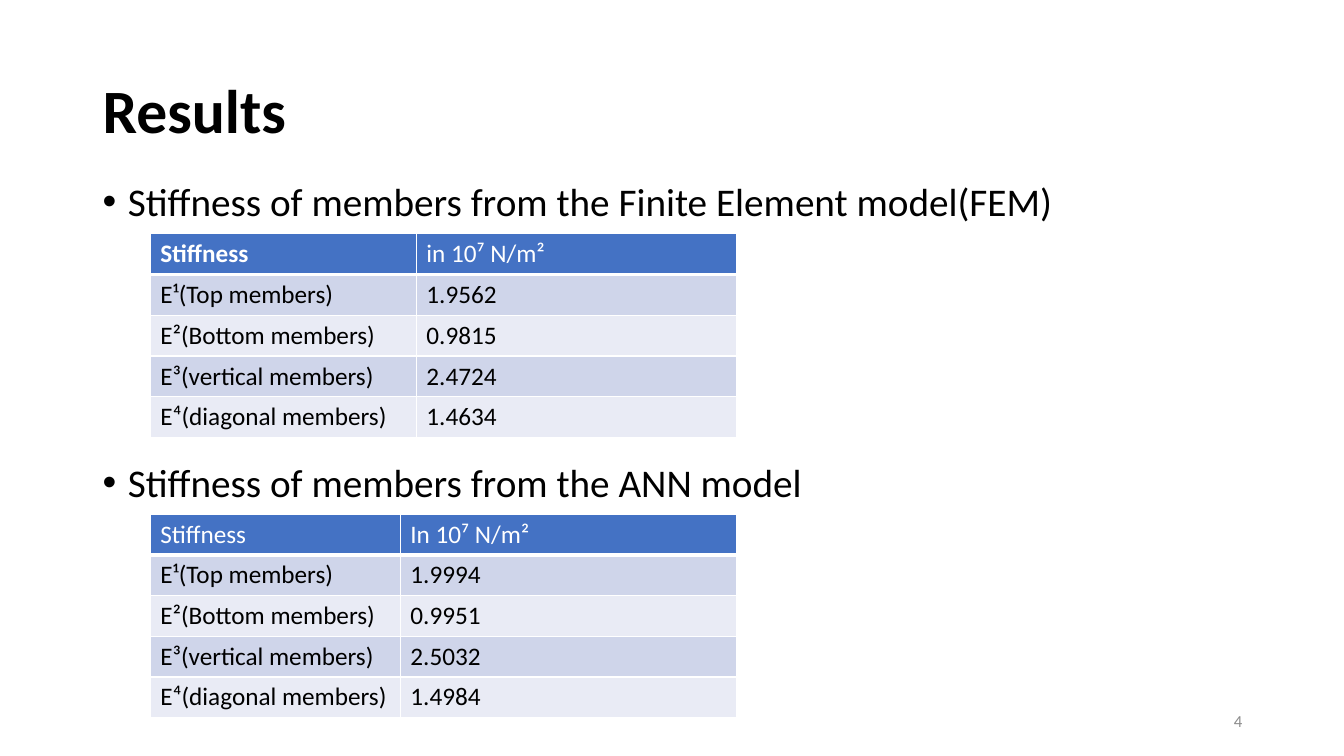
from lxml.etree import SubElement
from pptx import Presentation
from pptx.dml.color import RGBColor
from pptx.enum.text import MSO_ANCHOR, PP_ALIGN
from pptx.oxml.ns import qn
from pptx.util import Inches, Pt

COLORS = {
    "text": "000000",
    "white": "FFFFFF",
    "header": "4472C4",
    "band_dark": "CFD5EA",
    "band_light": "E9EBF5",
    "number": "8C8C8C",
}
FONT = "Calibri"
MEMBERS = ["E¹(Top members)", "E²(Bottom members)",
           "E³(vertical members)", "E⁴(diagonal members)"]


def rgb(name):
    return RGBColor.from_string(COLORS[name])


def add_run(p, text, size, color="text", bold=False):
    r = p.add_run()
    r.text = text
    r.font.name = FONT
    r.font.size = Pt(size)
    r.font.bold = bold
    r.font.color.rgb = rgb(color)


def add_text(slide, box, text, size, color="text", bold=False,
             anchor=MSO_ANCHOR.TOP):
    sp = slide.shapes.add_textbox(*map(Inches, box))
    tf = sp.text_frame
    tf.word_wrap = True
    tf.vertical_anchor = anchor
    p = tf.paragraphs[0]
    add_run(p, text, size, color, bold)
    return p


def add_title(slide, box, text):
    p = add_text(slide, box, text, 44, bold=True, anchor=MSO_ANCHOR.MIDDLE)
    p.line_spacing = 0.9


def add_bullet(slide, box, text):
    p = add_text(slide, box, text, 28)
    p.line_spacing = 0.9
    pPr = p._p.get_or_add_pPr()
    pPr.set("marL", str(Inches(0.25)))
    pPr.set("indent", str(Inches(-0.25)))
    SubElement(pPr, qn("a:buFont"), typeface="Arial")
    SubElement(pPr, qn("a:buChar"), char="•")


def add_page_number(slide, box, text):
    p = add_text(slide, box, text, 12, "number", anchor=MSO_ANCHOR.MIDDLE)
    p.alignment = PP_ALIGN.RIGHT


def set_borders(cell, row):
    tcPr = cell._tc.get_or_add_tcPr()
    for side in "LRTB":
        thick = (row, side) in [(0, "B"), (1, "T")]
        ln = SubElement(tcPr, qn(f"a:ln{side}"), w=str(Pt(3 if thick else 1)))
        fill = SubElement(ln, qn("a:solidFill"))
        SubElement(fill, qn("a:srgbClr"), val=COLORS["white"])


def add_stiffness_table(slide, box, widths, header, values, bold_header):
    rows = [header, *zip(MEMBERS, values)]
    table = slide.shapes.add_table(len(rows), len(header),
                                   *map(Inches, box)).table
    for col, width in zip(table.columns, widths):
        col.width = Inches(width)
    for i, texts in enumerate(rows):
        table.rows[i].height = Inches(box[3] / len(rows))
        band = "header" if i == 0 else ("band_light", "band_dark")[i % 2]
        for j, text in enumerate(texts):
            cell = table.cell(i, j)
            set_borders(cell, i)
            cell.fill.solid()
            cell.fill.fore_color.rgb = rgb(band)
            add_run(cell.text_frame.paragraphs[0], text, 18,
                    "text" if i else "white",
                    bold_header and i == 0 and j == 0)


def add_section(slide, box, heading, table_gap, widths, header, values,
                bold_header=False):
    left, top, width, height = box
    add_bullet(slide, (left, top, width, 0.53), heading)
    add_stiffness_table(slide, (left + 0.57, top + table_gap, sum(widths),
                                height - table_gap),
                        widths, header, values, bold_header)


prs = Presentation()
prs.slide_width = Inches(13.33)
prs.slide_height = Inches(7.5)
s = prs.slides.add_slide(prs.slide_layouts[6])

add_title(s, (0.92, 0.4, 11.5, 1.45), "Results")
add_section(s, (0.92, 1.76, 11.5, 2.58),
            "Stiffness of members from the Finite Element model(FEM)", 0.56,
            (2.64, 3.18), ("Stiffness", "in 10⁷ N/m²"),
            ("1.9562", "0.9815", "2.4724", "1.4634"), bold_header=True)
add_section(s, (0.92, 4.55, 11.5, 2.57),
            "Stiffness of members from the ANN model", 0.55,
            (2.48, 3.34), ("Stiffness", "In 10⁷ N/m²"),
            ("1.9994", "0.9951", "2.5032", "1.4984"))
add_page_number(s, (9.42, 6.95, 3, 0.4), "4")

prs.save("out.pptx")
